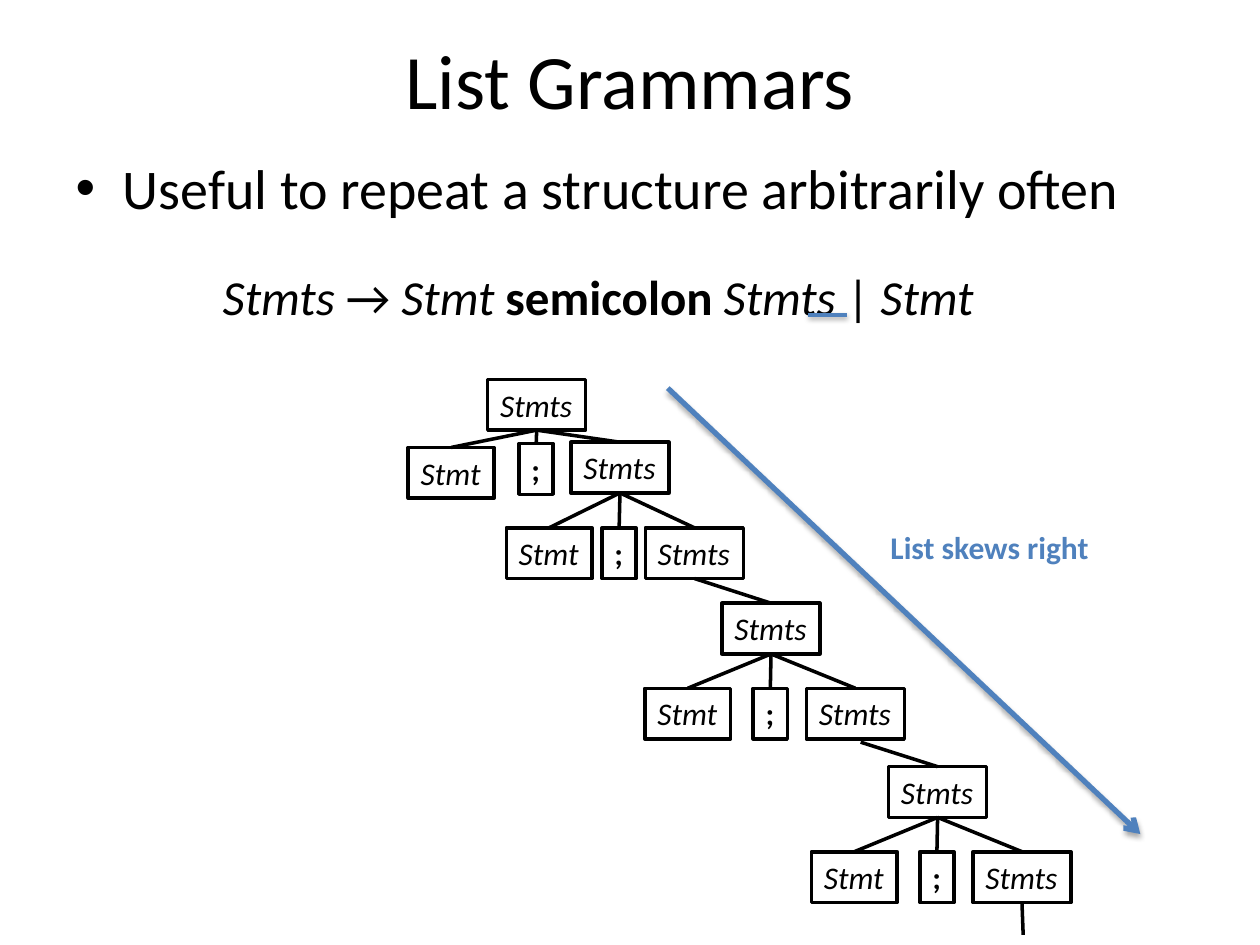
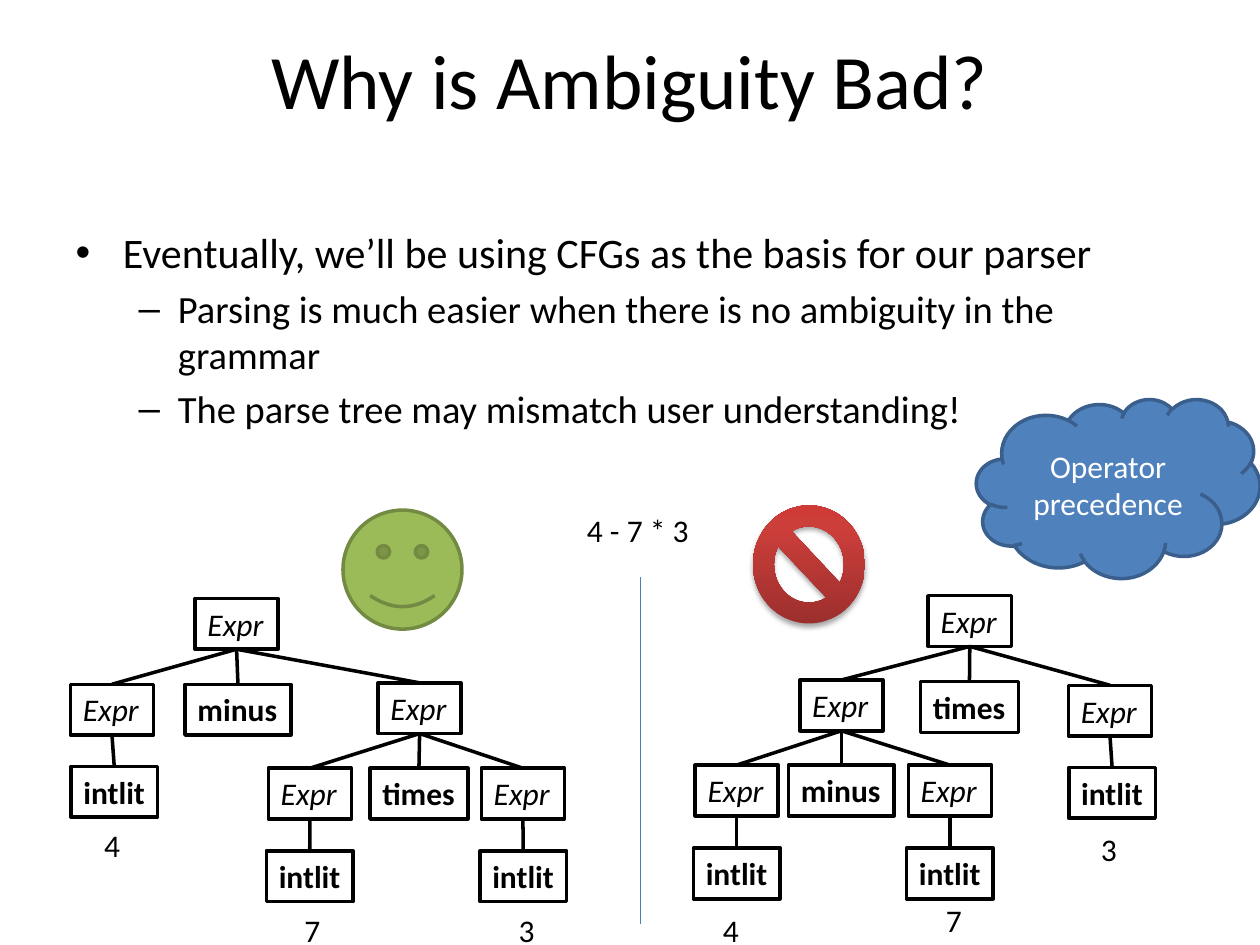
from copy import deepcopy

from pptx import Presentation
from pptx.dml.color import RGBColor
from pptx.enum.shapes import MSO_CONNECTOR as Link, MSO_SHAPE as Preset
from pptx.enum.text import MSO_ANCHOR as Anchor, MSO_AUTO_SIZE as Fit, PP_ALIGN as Align
from pptx.oxml.ns import qn
from pptx.oxml.xmlchemy import OxmlElement
from pptx.util import Pt

BLACK = RGBColor(0x00, 0x00, 0x00)
WHITE = RGBColor(0xFF, 0xFF, 0xFF)
BLUE = RGBColor(0x4F, 0x81, 0xBD)
DARK_BLUE = RGBColor(0x3A, 0x5F, 0x8C)
DIVIDER_BLUE = RGBColor(0x4B, 0x7E, 0xBC)
GREEN = RGBColor(0x9B, 0xBB, 0x59)
DARK_GREEN = RGBColor(0x73, 0x8A, 0x42)
RED_STOPS = [(0, RGBColor(0x9C, 0x2F, 0x2D)), (0.8, RGBColor(0xCB, 0x3E, 0x3A)),
             (1, RGBColor(0xCE, 0x3B, 0x37))]

FONT = "Calibri"
NODE_HEIGHT = 29
NODE_WIDTHS = {"Stmts": 56, "Stmt": 49, ";": 19.5, "Expr": 47.5,
               "minus": 60.5, "times": 56, "intlit": 49.5}
NONTERMINALS = {"Stmts", "Stmt", "Expr"}


def write(para, text, size=18, color=BLACK, bold=False, italic=False):
    """Add one formatted run to a paragraph."""
    span = para.add_run()
    span.text = text
    font = span.font
    font.name, font.size, font.bold, font.italic = FONT, Pt(size), bold, italic
    font.color.rgb = color


def add_shadow(effects, alpha, distance):
    shadow = OxmlElement("a:outerShdw")
    for key, value in (("blurRad", Pt(3.1)), ("dist", Pt(distance)),
                       ("dir", 90 * 60000), ("rotWithShape", 0)):
        shadow.set(key, str(value))
    color = OxmlElement("a:srgbClr")
    color.set("val", str(BLACK))
    opacity = OxmlElement("a:alpha")
    opacity.set("val", str(alpha * 1000))
    color.append(opacity)
    shadow.append(color)
    effects.append(shadow)


class SlideBuilder:
    """Holds the shared style and the current page."""

    def __init__(self):
        self.deck = Presentation()
        self.deck.slide_width, self.deck.slide_height = Pt(720), Pt(540)
        self.page = None

    def start_page(self, title, body_top, body_height, items):
        """Start a page with a title and a list of (text, level, size)."""
        self.page = self.deck.slides.add_slide(self.deck.slide_layouts[1])
        heading, body = self.page.placeholders
        for holder, top, height in ((heading, 0, 90), (body, body_top, body_height)):
            holder.left, holder.top = Pt(36), Pt(top)
            holder.width, holder.height = Pt(648), Pt(height)
            holder.text_frame.auto_size = Fit.NONE
        heading.text_frame.vertical_anchor = Anchor.MIDDLE
        para = heading.text_frame.paragraphs[0]
        para.alignment = Align.CENTER
        write(para, title, size=44)
        for index, (text, level, size) in enumerate(items):
            frame = body.text_frame
            para = frame.add_paragraph() if index else frame.paragraphs[0]
            para.level = level
            if not index:
                para.space_before = Pt(0)
            write(para, text, size=size)

    def text(self, left, top, width, height, spans, wrap=False, spacing=None):
        """Add a text box holding one line of (text, format) spans."""
        box = self.page.shapes.add_textbox(Pt(left), Pt(top), Pt(width), Pt(height))
        box.text_frame.word_wrap = wrap
        box.text_frame.auto_size = Fit.SHAPE_TO_FIT_TEXT
        para = box.text_frame.paragraphs[0]
        if spacing:
            para.line_spacing = spacing
        for text, style in spans:
            write(para, text, **style)

    def shape(self, preset, left, top, width, height, fill=None, line=None):
        shape = self.page.shapes.add_shape(preset, Pt(left), Pt(top), Pt(width), Pt(height))
        shape.shadow.inherit = False
        if fill is not None:
            shape.fill.solid()
            shape.fill.fore_color.rgb = fill
        if line is None:
            shape.line.fill.background()
        else:
            shape.line.color.rgb = line
            shape.line.width = Pt(2)
        return shape

    def line(self, start, end, color=BLACK, width=2, arrow=False, shadow=None):
        """Add a line; shadow is (opacity percent, distance)."""
        points = [Pt(value) for value in (*start, *end)]
        line = self.page.shapes.add_connector(Link.STRAIGHT, *points)
        line.line.color.rgb = color
        line.line.width = Pt(width)
        properties = line._element.spPr
        if arrow:
            tail = OxmlElement("a:tailEnd")
            tail.set("type", "arrow")
            properties.find(qn("a:ln")).append(tail)
        effects = OxmlElement("a:effectLst")
        properties.append(effects)
        if shadow:
            add_shadow(effects, *shadow)
        return line

    def node(self, label, center, top):
        """Add a parse tree box centred on a given x."""
        width = NODE_WIDTHS[label]
        box = self.shape(Preset.RECTANGLE, center - width / 2, top, width, NODE_HEIGHT,
                         fill=WHITE, line=BLACK)
        frame = box.text_frame
        frame.word_wrap = False
        frame.auto_size = Fit.SHAPE_TO_FIT_TEXT
        frame.vertical_anchor = Anchor.TOP
        frame.paragraphs[0].alignment = Align.LEFT
        inner = label in NONTERMINALS
        write(frame.paragraphs[0], label, bold=not inner, italic=inner)
        return box

    def join(self, parent, child):
        line = self.line((0, 0), (0, 0))
        line.begin_connect(parent, 2)
        line.end_connect(child, 0)

    def tree(self, label, center, top, *children):
        """Draw a nested (label, center, top, *children) tree."""
        box = self.node(label, center, top)
        for child in children:
            self.join(box, self.tree(*child))
        return box

    def no_sign(self, left, top, width, height):
        sign = self.shape(Preset.NO_SYMBOL, left, top, width, height)
        sign.fill.gradient()
        sign.fill.gradient_angle = 90
        properties = sign._element.spPr
        stop_list = properties.find(".//" + qn("a:gsLst"))
        stop_list.append(deepcopy(stop_list[-1]))
        for stop, (position, color) in zip(sign.fill.gradient_stops, RED_STOPS):
            stop.position = position
            stop.color.rgb = color
        add_shadow(properties.find(qn("a:effectLst")), 35, 1.8)


def build_list_grammars(builder):
    builder.start_page("List Grammars", 84.25, 356.5,
                       [("Useful to repeat a structure arbitrarily often", 0, 32)])

    # Right-recursive parse tree: each row is Stmt ; Stmts
    def row(top, *centers, stmt_drop=0, semicolon_drop=0):
        tops = (top + stmt_drop, top + semicolon_drop, top)
        return list(zip(("Stmt", ";", "Stmts"), centers, tops))

    first = row(252.7, 257.8, 306.4, 354.3, stmt_drop=3, semicolon_drop=0.8)
    second = row(301.6, 313.8, 353.8, 396.8)
    third = row(393.3, 393, 440.2, 488.8)
    fourth = row(486.7, 488.2, 535.4, 584)
    third_tree = ("Stmts", 440.6, 344.7, *third)
    second[-1] += (third_tree,)
    first[-1] += tuple(second)
    builder.tree("Stmts", 306.7, 216.8, *first)
    last_list = builder.tree("Stmts", 535.8, 438.1, *fourth)
    builder.line((491.8, 424.1), (535.8, 438.1)).end_connect(last_list, 0)
    builder.line((584, 516), (584.7, 534.2))

    # Direction of growth
    builder.line((381.6, 221.8), (651.6, 476.6), color=BLUE, width=3, arrow=True,
                 shadow=(35, 1.8))
    builder.text(501.8, 298.4, 128.8, NODE_HEIGHT,
                 [("List skews right", {"color": BLUE, "bold": True})])

    # Grammar rule
    plain, italic = {"size": 28}, {"size": 28, "italic": True}
    rule = [("Stmts", italic), (" → ", plain), ("Stmt ", italic),
            ("semicolon ", {"size": 28, "bold": True}),
            ("Stmts ", italic), ("| ", plain), ("Stmt", italic)]
    builder.text(120.2, 131.8, 588, 58.3, rule, wrap=True, spacing=1.5)
    builder.line((462, 180), (484, 180), color=BLUE, shadow=(38, 1.6))


def build_ambiguity(builder):
    builder.start_page("Why is Ambiguity Bad?", 126, 365.75, [
        ("Eventually, we’ll be using CFGs as the basis for our parser", 0, 24),
        ("Parsing is much easier when there is no ambiguity in the grammar", 1, 22),
        ("The parse tree may mismatch user understanding!", 1, 22)])

    # Multiplication binds tighter
    builder.tree(
        "Expr", 135.2, 342,
        ("Expr", 64, 391, ("intlit", 65.3, 438)),
        ("minus", 136, 391),
        ("Expr", 239.8, 390.2,
         ("Expr", 177.1, 439, ("intlit", 177, 486.2)),
         ("times", 239.4, 439),
         ("Expr", 298.8, 439, ("intlit", 299, 486.2))))

    # Subtraction binds tighter
    builder.tree(
        "Expr", 554.2, 340.4,
        ("Expr", 480.8, 388.6,
         ("Expr", 421, 437.2, ("intlit", 421, 484.6)),
         ("minus", 480.8, 437.2),
         ("Expr", 542.8, 437.2, ("intlit", 542.8, 484.6))),
        ("times", 554, 389.5),
        ("Expr", 634.3, 391.6, ("intlit", 635.5, 438.6)))

    # Literal values below the leaves
    for value, center, top in (("4", 64.4, 468.7), ("7", 178.9, 517), ("3", 301.3, 517),
                               ("4", 418, 517), ("7", 545.4, 511.2), ("3", 634, 470.9)):
        builder.text(center - 12, top, 24, NODE_HEIGHT, [(value, {})])

    # Divider, expression and verdicts
    builder.line((366, 329.8), (366, 527.8), color=DIVIDER_BLUE, width=0.75)
    builder.text(328.3, 288.7, 73.4, NODE_HEIGHT, [("4 - 7 * 3", {})])
    builder.no_sign(430.3, 288.8, 64, 67.5)
    builder.shape(Preset.SMILEY_FACE, 196, 291.5, 68, 68, fill=GREEN, line=DARK_GREEN)
    cloud = builder.shape(Preset.CLOUD, 558, 228, 162, 102.3, fill=BLUE, line=DARK_BLUE)
    cloud.text_frame.word_wrap = True
    cloud.text_frame.vertical_anchor = Anchor.MIDDLE
    para = cloud.text_frame.paragraphs[0]
    para.alignment = Align.CENTER
    write(para, "Operator precedence", color=WHITE)


def main():
    builder = SlideBuilder()
    build_list_grammars(builder)
    build_ambiguity(builder)
    builder.deck.save("out.pptx")


if __name__ == "__main__":
    main()
